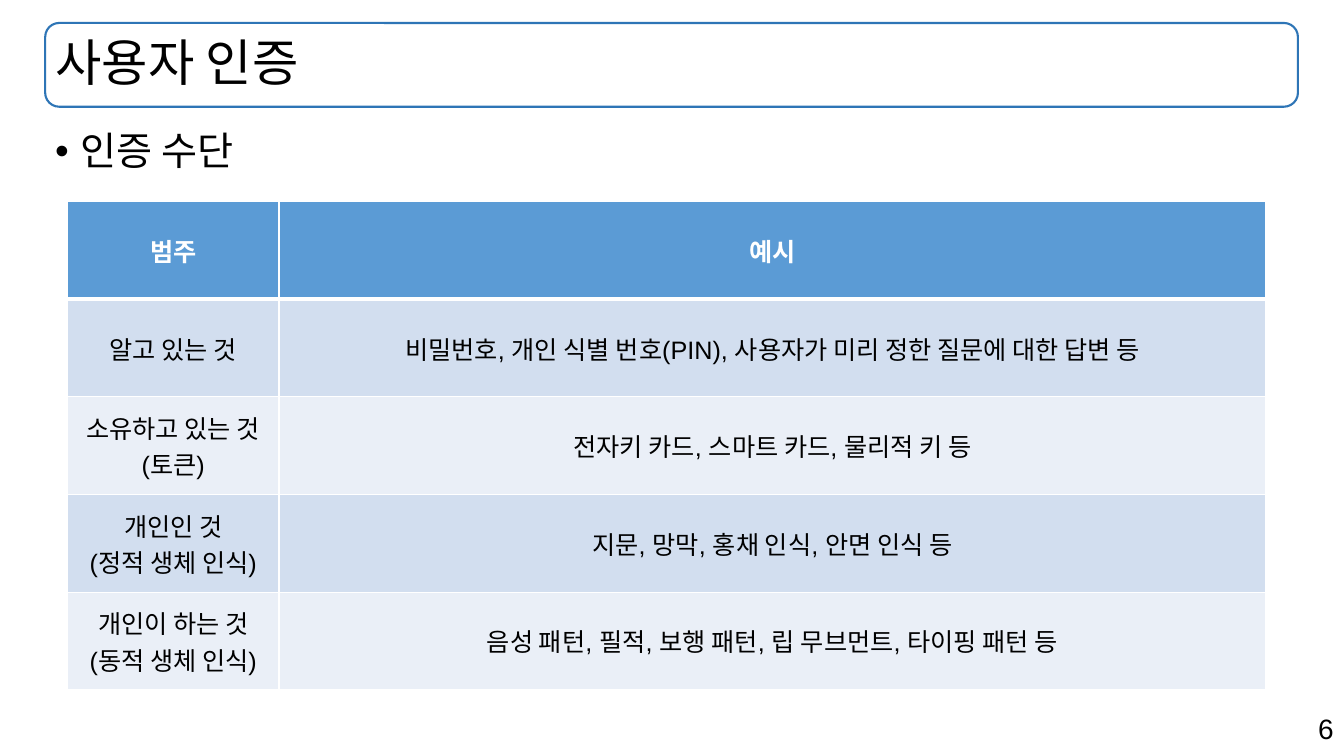
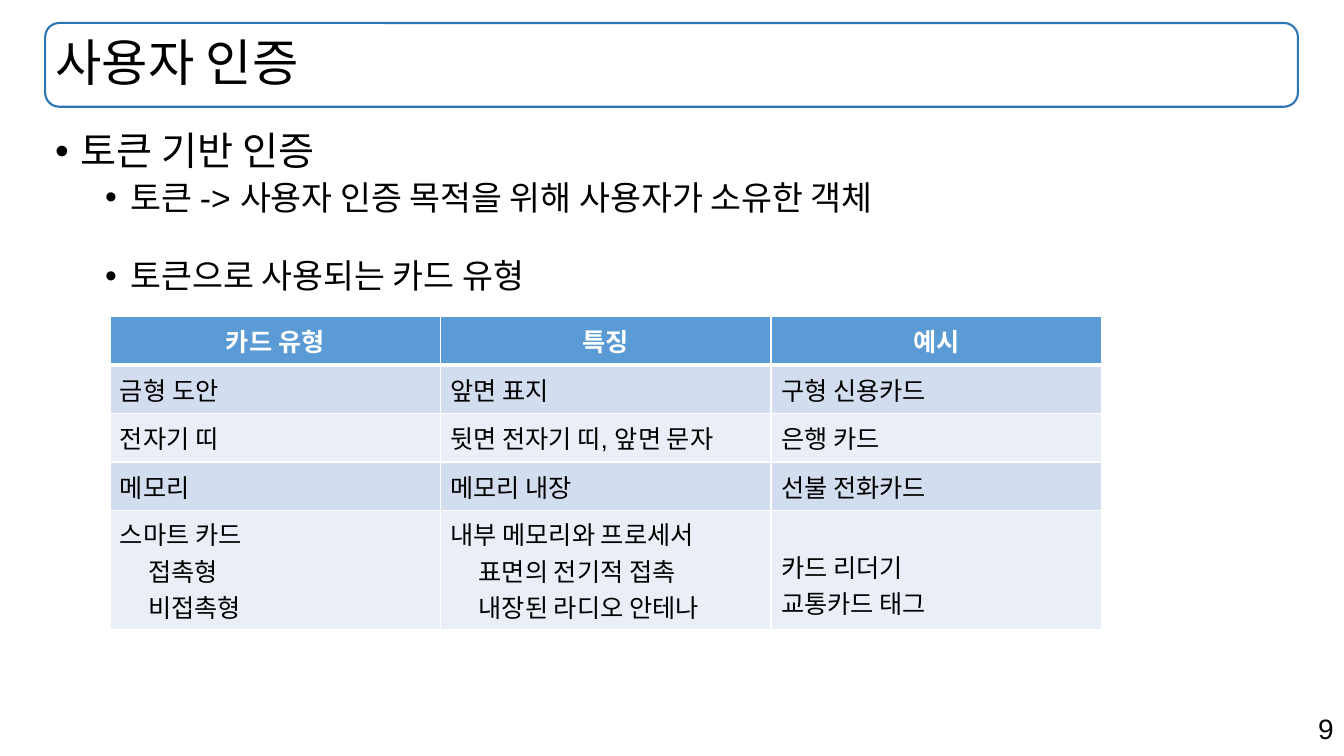
from lxml import etree
from pptx import Presentation
from pptx.dml.color import RGBColor
from pptx.enum.shapes import MSO_SHAPE
from pptx.enum.text import MSO_ANCHOR, MSO_AUTO_SIZE, PP_ALIGN
from pptx.oxml.ns import qn
from pptx.util import Cm, Pt

ROUNDED = MSO_SHAPE.ROUNDED_RECTANGLE
MIDDLE = MSO_ANCHOR.MIDDLE
NO_FIT = MSO_AUTO_SIZE.NONE
LEFT, CENTER, RIGHT = PP_ALIGN.LEFT, PP_ALIGN.CENTER, PP_ALIGN.RIGHT
TITLE_ONLY = 5

# Shared style
FONT = "Arial"
BLACK, WHITE, BAND_LINE = "000000", "FFFFFF", "2E75B6"
HEADER_FILL, ROW_FILLS = "5B9BD5", ("D2DEEF", "EAEFF7")
TITLE_AREA = (1.14, 0.58, 31.57, 2.11)
BULLET_SIZES = (28, 24)
BULLET_INDENTS = (0.64, 1.9)
HANGING = 0.64
CELL_INDENT = 0.71

# Content: bullets are (level, space before, text); a cell line
# starting with ">" is indented
SLIDES = [
    {
        "title": "사용자 인증",
        "page": "6",
        "bullets": [(0, 0, "인증 수단")],
        "table": {
            "left": 1.7, "top": 5.08,
            "widths": [5.33, 24.87],
            "heights": [2.46] * 5,
            "align": CENTER,
            "rows": [
                ["범주", "예시"],
                ["알고 있는 것",
                 "비밀번호, 개인 식별 번호(PIN), 사용자가 미리 정한 질문에 대한 답변 등"],
                ["소유하고 있는 것\n(토큰)", "전자키 카드, 스마트 카드, 물리적 키 등"],
                ["개인인 것\n(정적 생체 인식)", "지문, 망막, 홍채 인식, 안면 인식 등"],
                ["개인이 하는 것\n(동적 생체 인식)",
                 "음성 패턴, 필적, 보행 패턴, 립 무브먼트, 타이핑 패턴 등"],
            ],
        },
    },
    {
        "title": "사용자 인증",
        "page": "9",
        "bullets": [
            (0, 0, "토큰 기반 인증"),
            (1, 5, "토큰 -> 사용자 인증 목적을 위해 사용자가 소유한 객체"),
            (1, 30, "토큰으로 사용되는 카드 유형"),
        ],
        "table": {
            "left": 2.77, "top": 7.98,
            "widths": [8.33] * 3,
            "heights": [1.22] * 4 + [3],
            "align": LEFT,
            "lowered": {(4, 2): 0.86},
            "rows": [
                ["카드 유형", "특징", "예시"],
                ["금형 도안", "앞면 표지", "구형 신용카드"],
                ["전자기 띠", "뒷면 전자기 띠, 앞면 문자", "은행 카드"],
                ["메모리", "메모리 내장", "선불 전화카드"],
                ["스마트 카드\n>접촉형\n>비접촉형",
                 "내부 메모리와 프로세서\n>표면의 전기적 접촉\n>내장된 라디오 안테나",
                 "카드 리더기\n교통카드 태그"],
            ],
        },
    },
]


def color(value):
    return RGBColor.from_string(value)


def add_run(paragraph, text, size, ink=BLACK, bold=False):
    run = paragraph.add_run()
    run.text = text
    run.font.name = FONT
    run.font.size = Pt(size)
    run.font.bold = bold
    run.font.color.rgb = color(ink)


def add_paragraph(frame, index):
    return frame.add_paragraph() if index else frame.paragraphs[0]


def add_text_area(slide, *area):
    frame = slide.shapes.add_textbox(*map(Cm, area)).text_frame
    frame.word_wrap = True
    return frame


def add_title(slide, text):
    band = slide.shapes.add_shape(ROUNDED, *map(Cm, TITLE_AREA))
    band.shadow.inherit = False
    band.fill.background()
    band.line.color.rgb = color(BAND_LINE)
    band.line.width = Pt(1.5)
    slide.shapes._spTree.insert(2, band._element)  # behind the title

    title = slide.shapes.title
    title.left, title.top, title.width, title.height = map(Cm, TITLE_AREA)
    frame = title.text_frame
    frame.auto_size = NO_FIT
    frame.vertical_anchor = MIDDLE
    paragraph = frame.paragraphs[0]
    paragraph.alignment = LEFT
    paragraph.line_spacing = 0.9
    add_run(paragraph, text, 36)


def add_bullets(slide, bullets):
    frame = add_text_area(slide, 1.14, 3.2, 31.57, 4.6)
    for index, (level, before, text) in enumerate(bullets):
        paragraph = add_paragraph(frame, index)
        paragraph.level = level
        props = paragraph._p.get_or_add_pPr()
        props.set("marL", str(Cm(BULLET_INDENTS[level])))
        props.set("indent", str(-Cm(HANGING)))
        etree.SubElement(props, qn("a:buFont"), typeface=FONT)
        etree.SubElement(props, qn("a:buChar"), char="•")
        paragraph.line_spacing = 0.9
        if before:
            paragraph.space_before = Pt(before)
        add_run(paragraph, text, BULLET_SIZES[level])


def set_borders(cell, top, bottom):
    props = cell._tc.get_or_add_tcPr()
    for side, points in (("L", 1), ("R", 1), ("T", top), ("B", bottom)):
        line = etree.SubElement(props, qn("a:ln" + side), w=str(Pt(points)))
        fill = etree.SubElement(line, qn("a:solidFill"))
        etree.SubElement(fill, qn("a:srgbClr"), val=WHITE)


def fill_cell(cell, text, row, align):
    header = row == 0
    set_borders(cell, 3 if row == 1 else 1, 3 if header else 1)
    cell.fill.solid()
    cell.fill.fore_color.rgb = color(HEADER_FILL if header else ROW_FILLS[(row - 1) % 2])
    cell.vertical_anchor = MIDDLE
    for index, line in enumerate(text.split("\n")):
        paragraph = add_paragraph(cell.text_frame, index)
        paragraph.alignment = CENTER if header else align
        if line.startswith(">"):
            paragraph._p.get_or_add_pPr().set("marL", str(Cm(CELL_INDENT)))
        add_run(paragraph, line.lstrip(">"), 18, WHITE if header else BLACK, header)


def add_grid(slide, left, top, widths, heights, align, rows, lowered=None):
    table = slide.shapes.add_table(
        len(heights), len(widths), Cm(left), Cm(top),
        Cm(sum(widths)), Cm(sum(heights))).table
    for column, width in zip(table.columns, widths):
        column.width = Cm(width)
    for table_row, height in zip(table.rows, heights):
        table_row.height = Cm(height)
    for r, texts in enumerate(rows):
        for c, text in enumerate(texts):
            fill_cell(table.cell(r, c), text, r, align)
    for position, margin in (lowered or {}).items():
        table.cell(*position).margin_top = Cm(margin)


def add_page_number(slide, number):
    paragraph = add_text_area(slide, 23.95, 17.8, 9.91, 1.12).paragraphs[0]
    paragraph.alignment = RIGHT
    add_run(paragraph, number, 20)


def main():
    deck = Presentation()
    deck.slide_width, deck.slide_height = Cm(33.87), Cm(19.05)
    for content in SLIDES:
        slide = deck.slides.add_slide(deck.slide_layouts[TITLE_ONLY])
        add_title(slide, content["title"])
        add_bullets(slide, content["bullets"])
        add_grid(slide, **content["table"])
        add_page_number(slide, content["page"])
    deck.save("out.pptx")


if __name__ == "__main__":
    main()
